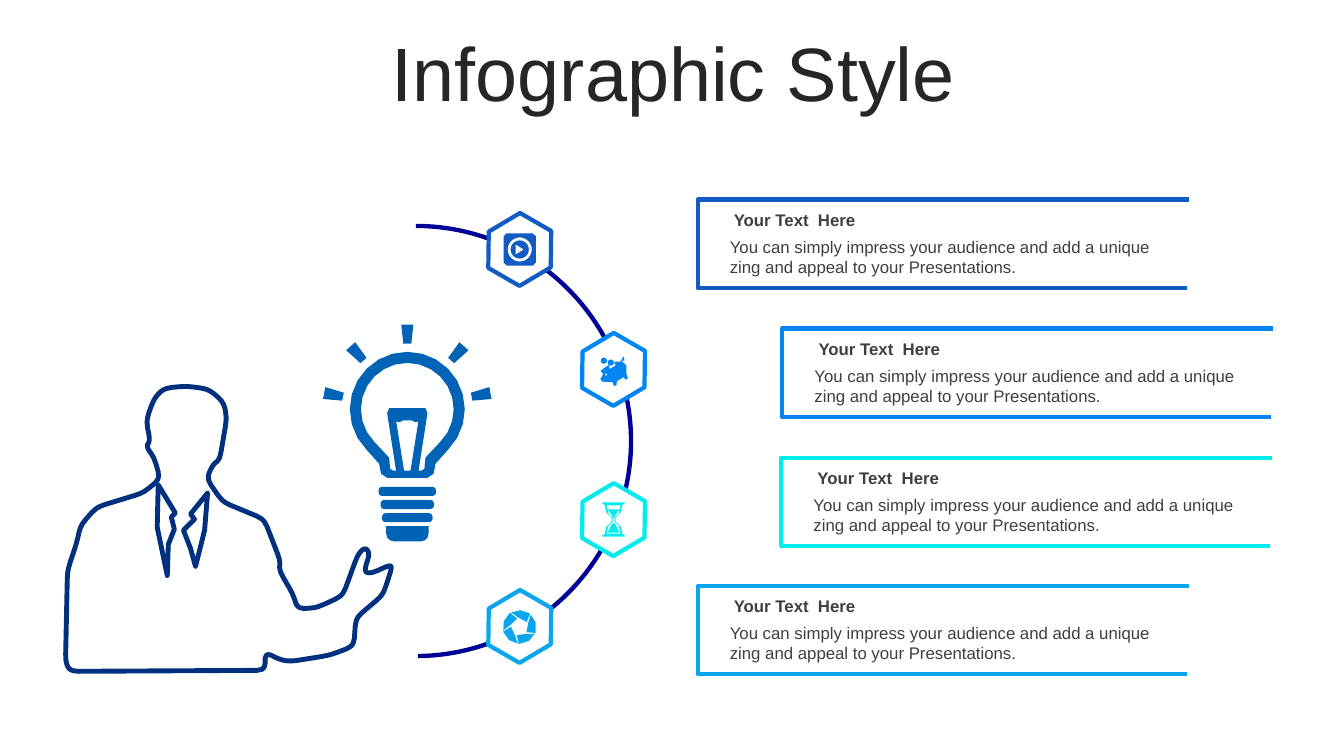
from dataclasses import dataclass
from math import cos, dist, radians, sin

from pptx import Presentation
from pptx.dml.color import RGBColor
from pptx.enum.shapes import MSO_SHAPE
from pptx.enum.text import MSO_ANCHOR, PP_ALIGN
from pptx.util import Inches, Pt

ARC, HEXAGON, BAR = MSO_SHAPE.BLOCK_ARC, MSO_SHAPE.HEXAGON, MSO_SHAPE.ROUNDED_RECTANGLE
SOCKET = MSO_SHAPE.ROUND_2_SAME_RECTANGLE
MIDDLE, CENTER = MSO_ANCHOR.MIDDLE, PP_ALIGN.CENTER
TITLE_ONLY = 5


@dataclass(frozen=True)
class Theme:
    """Colours, font and sizes of the slide."""
    font: str = "Arial"
    title_size: int = 54
    text_size: int = 12
    title: str = "262626"
    text: str = "3F3F3F"
    white: str = "FFFFFF"
    arc: str = "000096"
    presenter: str = "00307E"
    bulb: str = "0063B5"
    line: float = 3
    presenter_line: float = 3.5


THEME = Theme()


def circle(x, y, radius, start=0, end=360, step=15):
    """Return points along a circle, with angles in degrees."""
    return [(x + radius * cos(radians(angle)), y + radius * sin(radians(angle)))
            for angle in range(start, end, step)]


def turned(contour, angle):
    """Return a contour turned about the origin by degrees."""
    c, s = cos(radians(angle)), sin(radians(angle))
    return [(x * c - y * s, x * s + y * c) for x, y in contour]


def mirrored(half):
    """Close a right half with its reflection."""
    return half + [(-x, y) for x, y in reversed(half)]


def flipped(half):
    """Extend an upper half with its reflection below."""
    return half + [(x, -y) for x, y in reversed(half)]


def softened(contour):
    """Cut the corners of a closed contour."""
    points = []
    for before, corner, after in zip(contour[-1:] + contour[:-1], contour,
                                     contour[1:] + contour[:1]):
        for other in (before, after):
            share = min(0.25, 4 / dist(corner, other))
            points.append(tuple(a + (b - a) * share for a, b in zip(corner, other)))
    return points


BODY = [
    (120, 0), (142, 3), (157, 16), (160, 32), (153, 73), (146, 78), (140, 92), (156, 115),
    (197, 132), (213, 173), (212, 183), (226, 207), (230, 221), (249, 220), (275, 208),
    (290, 167), (297, 160), (302, 166), (296, 184), (303, 186), (325, 176), (318, 198),
    (314, 208), (288, 230), (286, 258), (262, 267), (225, 273), (214, 272), (198, 264),
    (198, 282), (5, 283), (0, 274), (2, 183), (11, 156), (15, 138), (31, 120), (77, 106),
    (94, 92), (88, 71), (80, 60), (84, 54), (80, 34), (88, 12), (98, 2)]
LAPELS = [
    [(141, 106), (124, 127), (128, 132), (117, 143), (124, 161), (129, 179), (138, 143)],
    [(92, 98), (91, 140), (101, 188), (102, 157), (108, 142), (105, 130), (109, 126)]]
RAYS = [turned(mirrored([(4, -65), (6, -84)]), angle) for angle in (-79, -42, 0, 42, 79)]
GLASS = [mirrored(circle(0, 0, radius, -90, 46) + neck) for radius, neck in (
    (57, [(28, 54), (26, 64), (20, 68)]), (46, [(18, 48), (17, 59), (14, 61)]))]
FILAMENT = mirrored([(8, -1), (18, -1), (20, 4), (11, 62), (3, 62), (11, 12), (8, 13), (4, 11)])
PLAY = [
    [point for quarter in range(4) for point in turned([(13, -16), (16, -13)], quarter * 90)],
    circle(0, 0, 12), circle(0, 0, 9), [(-4, -5), (4, 0), (-4, 5)]]
PIGGY_BANK = [
    [(15, -6), (14, -2), (11, -3), (13, 3), (9, 10), (8, 15), (5, 15), (5, 12), (-3, 12),
     (-5, 15), (-8, 15), (-7, 11), (-16, 5), (-16, 2), (-11, -1), (-12, -5), (-2, -6),
     (-3, -2), (4, -2), (4, -6), (10, -3)],
    circle(-9, 1, 1), circle(1, -7, 3), circle(-4, -12, 3)]
HOURGLASS = [
    mirrored(flipped([(11, -17), (11, -15), (9, -15), (7, -7), (2, -2)])),
    mirrored(flipped([(7, -14), (5, -6), (1, -2)])),
    mirrored([(6, -10), (2, -5), (0, -1)]), mirrored([(0, 3), (2, 5), (6, 13)])]
BLADE = [(15, 7), (9, 14), (-1, 17), (-3, 8), (7, 7)]
APERTURE = [turned(BLADE, blade * 72) for blade in range(5)]
STEPS = [
    (4.8, 2.16, PLAY, 0, 6.92, 1.98, "125AC4"),
    (5.73, 3.35, PIGGY_BANK, 330, 7.76, 3.26, "0085F2"),
    (5.73, 4.84, HOURGLASS, 0, 7.75, 4.54, "02ECEC"),
    (4.8, 5.9, APERTURE, 143, 6.92, 5.81, "0AA6ED")]
HEADING = "Your Text  Here"
MESSAGE = "You can simply impress your audience and add a unique zing and appeal to your Presentations."


def paint(shape, fill=None, line=None, width=THEME.line):
    """Give a shape its fill and line, without a shadow."""
    shape.shadow.inherit = False
    for target, color in ((shape.fill, fill), (shape.line.fill, line)):
        if color:
            target.solid()
            target.fore_color.rgb = RGBColor.from_string(color)
        else:
            target.background()
    if line:
        shape.line.width = Pt(width)


def add_outline(slide, left, top, contours, closed=True, **look):
    """Draw contours, in hundredths of an inch, as one freeform."""
    builder = None
    for contour in contours:
        first, *rest = [(Inches(left + x / 100), Inches(top + y / 100)) for x, y in contour]
        if builder is None:
            builder = slide.shapes.build_freeform(*first)
        else:
            builder.move_to(*first)
        builder.add_line_segments(rest, close=closed)
    shape = builder.convert_to_shape()
    paint(shape, **look)
    return shape


def add_preset(slide, kind, box, adjustments, rotation=0, **look):
    """Add a painted preset shape in a box."""
    shape = slide.shapes.add_shape(kind, *map(Inches, box))
    for index, value in enumerate(adjustments):
        shape.adjustments[index] = value
    shape.rotation = rotation
    paint(shape, **look)


def write(shape, text, color, **font):
    """Write one paragraph in the theme font."""
    shape.text_frame.word_wrap = True
    paragraph = shape.text_frame.paragraphs[0]
    run = paragraph.add_run()
    run.text = text
    for name, value in {"name": THEME.font, **font}.items():
        setattr(run.font, name, value)
    run.font.color.rgb = RGBColor.from_string(color)
    return paragraph


def add_title(slide, left, top, width, height):
    """Place and fill the title."""
    title = slide.shapes.title
    for name, value in {"left": left, "top": top, "width": width, "height": height}.items():
        setattr(title, name, Inches(value))
    title.text_frame.vertical_anchor = MIDDLE
    paragraph = write(title, "Infographic Style", THEME.title, size=Pt(THEME.title_size))
    paragraph.alignment, paragraph.line_spacing = CENTER, 0.9


def add_badge(slide, left, top, icon, rotation, color):
    """Draw a hexagon with an icon in its middle."""
    width, height = 0.71, 0.63
    add_preset(slide, HEXAGON, (left, top, width, height), [0.28], 30,
               fill=THEME.white, line=color)
    add_outline(slide, left + width / 2, top + height / 2, icon, fill=color).rotation = rotation


def add_card(slide, left, top, color):
    """Draw an open bracket with a heading and a message."""
    bracket = [(487, 0), (0, 0), (0, 88), (485, 88)]
    add_outline(slide, left, top, [bracket], closed=False, line=color)
    for x, y, width, height, text, bold in ((0.22, 0.32, 4.44, 0.5, MESSAGE, False),
                                            (0.26, 0.05, 4.4, 0.3, HEADING, True)):
        box = slide.shapes.add_textbox(*map(Inches, (left + x, top + y, width, height)))
        write(box, text, THEME.text, size=Pt(THEME.text_size), bold=bold)


def add_presenter(slide, left, top):
    """Draw the outline of a presenting person."""
    add_outline(slide, left, top, [*LAPELS, softened(softened(BODY))], fill=THEME.white,
                line=THEME.presenter, width=THEME.presenter_line)


def add_bulb(slide, left, top):
    """Draw a shining light bulb around the middle of its glass."""
    middle, center = left + 0.86, top + 0.84
    for contours in (RAYS, GLASS, [FILAMENT]):
        add_outline(slide, middle, center, contours, fill=THEME.bulb)
    for row, width in enumerate((0.57, 0.53, 0.5)):
        box = (middle - width / 2, top + 1.61 + row * 0.13, width, 0.09)
        add_preset(slide, BAR, box, [0.4], fill=THEME.bulb)
    add_preset(slide, SOCKET, (middle - 0.21, top + 2, 0.42, 0.15), [0.5], 180, fill=THEME.bulb)


def main():
    """Build and save the slide."""
    presentation = Presentation()
    presentation.slide_width, presentation.slide_height = Inches(13.33), Inches(7.5)
    slide = presentation.slides.add_slide(presentation.slide_layouts[TITLE_ONLY])
    add_title(slide, 0.35, 0.37, 12.66, 0.79)
    add_preset(slide, ARC, (1.97, 2.22, 4.31, 4.31), [108, 215.69, 0.01], 90, fill=THEME.arc)
    for badge_left, badge_top, icon, rotation, card_left, card_top, color in STEPS:
        add_badge(slide, badge_left, badge_top, icon, rotation, color)
        add_card(slide, card_left, card_top, color)
    add_presenter(slide, 0.65, 3.83)
    add_bulb(slide, 3.18, 3.22)
    presentation.save("out.pptx")


if __name__ == "__main__":
    main()
